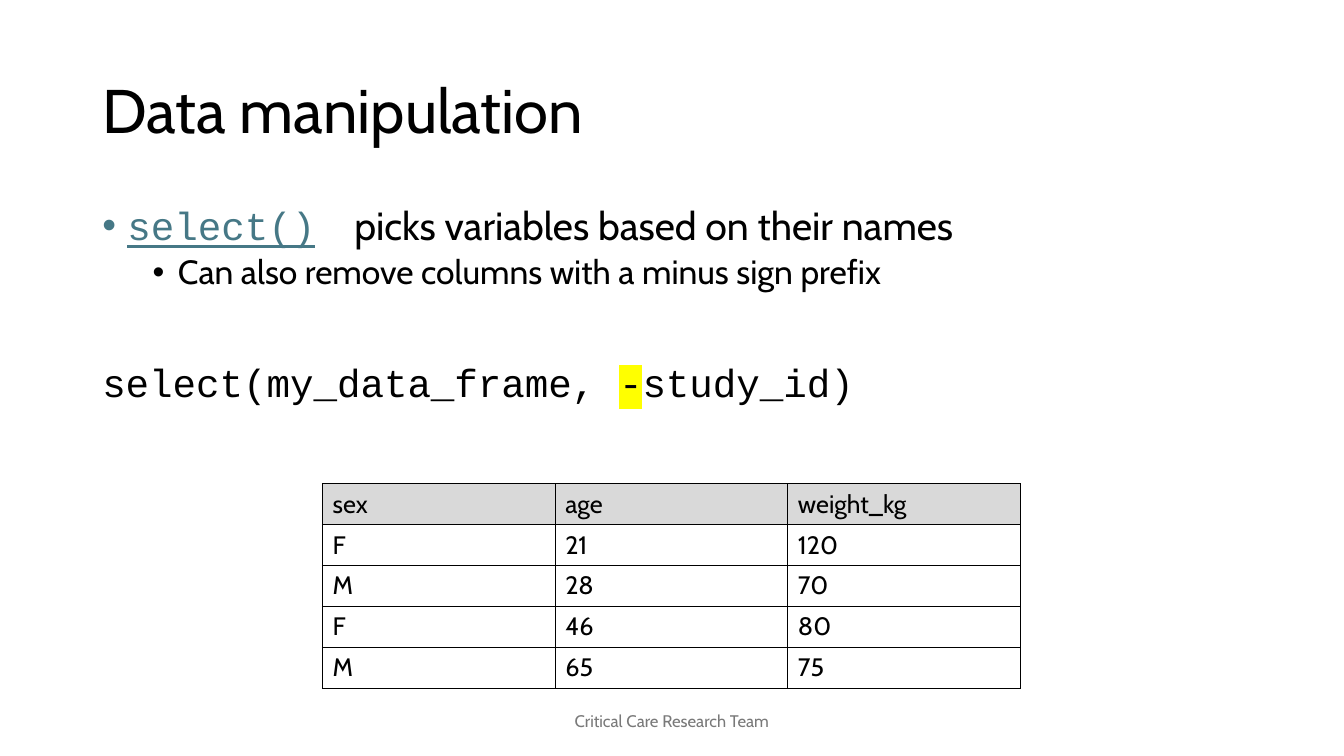
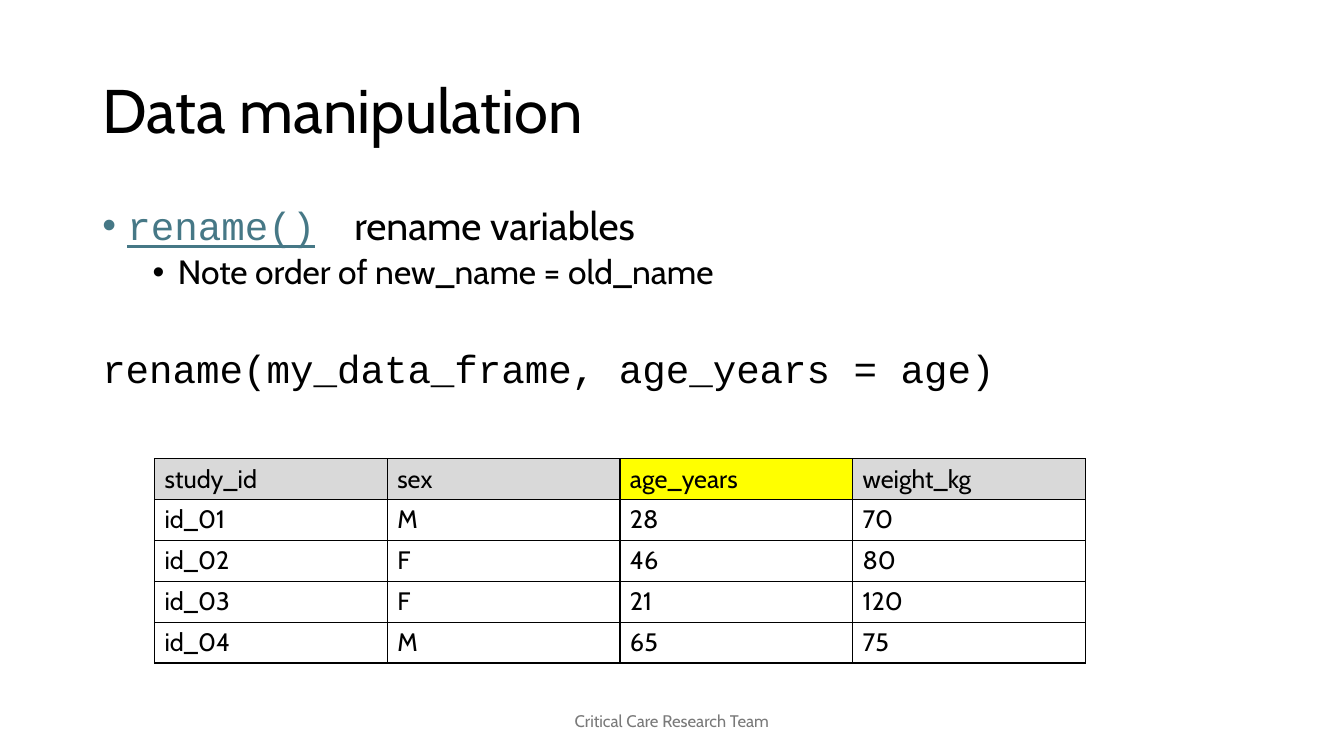
import pptx
import pptx.dml.color
import pptx.enum.text
import pptx.oxml.ns
import pptx.util
from lxml import etree

RGBColor = pptx.dml.color.RGBColor
BLACK = RGBColor(0x00, 0x00, 0x00)
TEAL = RGBColor(0x46, 0x78, 0x86)
GREY = RGBColor(0x79, 0x79, 0x79)
SILVER = RGBColor(0xD9, 0xD9, 0xD9)
YELLOW = RGBColor(0xFF, 0xFF, 0x00)

ANCHOR = pptx.enum.text.MSO_ANCHOR
ALIGN = pptx.enum.text.PP_ALIGN
TEXT_FONT, CODE_FONT = "Cabin", "Courier New"

# The page is a grid of 160 columns by 90 rows, 12 to the inch
COLUMNS, ROWS = 160, 90
MARGIN, CONTENT_WIDTH = 11, 138
CELL_WIDTH, CELL_HEIGHT = 27.7, 4.87


def grid(count):
    return pptx.util.Inches(count / 12)


def add_element(parent, tag, **attributes):
    return etree.SubElement(parent, pptx.oxml.ns.qn(tag), attributes)


def add_color(parent, tag, color):
    add_element(add_element(parent, tag), "a:srgbClr", val=str(color))


def add_span(para, text, size=28, font=TEXT_FONT, color=BLACK,
             underline=False, highlight=None):
    span = para.add_run()
    span.text = text
    span.font.size = pptx.util.Pt(size)
    span.font.color.rgb = color
    span.font.bold = False
    span.font.underline = underline
    if highlight is not None:
        add_color(span.font._element, "a:highlight", highlight)
    span.font.name = font
    return span


def add_bullet(para, indent, color):
    properties = para._p.get_or_add_pPr()
    properties.set("marL", str(pptx.util.Inches(indent)))
    properties.set("indent", str(pptx.util.Inches(-0.25)))
    add_color(properties, "a:buClr", color)
    add_element(properties, "a:buFont", typeface="Arial")
    add_element(properties, "a:buChar", char="•")


class Deck:
    """Holds the shared style and the current page."""

    def __init__(self):
        self.deck = pptx.Presentation()
        self.deck.slide_width = grid(COLUMNS)
        self.deck.slide_height = grid(ROWS)
        self.page = None

    def add_page(self, title):
        self.page = self.deck.slides.add_slide(self.deck.slide_layouts[6])
        heading = self.add_box(MARGIN, 4.8, CONTENT_WIDTH, 17.4, ANCHOR.MIDDLE)
        heading.paragraphs[0].line_spacing = 0.9
        add_span(heading.paragraphs[0], title, size=44)
        footer = self.add_box(53, 83.4, 54, 4.8, ANCHOR.MIDDLE)
        footer.paragraphs[0].alignment = ALIGN.CENTER
        add_span(footer.paragraphs[0], "Critical Care Research Team",
                 size=12, color=GREY)

    def add_box(self, left, top, width, height, anchor=ANCHOR.TOP):
        box = self.page.shapes.add_textbox(*map(grid, (left, top, width, height)))
        frame = box.text_frame
        frame.word_wrap = True
        frame.vertical_anchor = anchor
        return frame

    def add_body(self, function, purpose, note, code, code_gap):
        """Code is a list of (text, highlight) pairs."""
        frame = self.add_box(MARGIN, 24, CONTENT_WIDTH, 57.1)
        summary = frame.paragraphs[0]
        detail, example = frame.add_paragraph(), frame.add_paragraph()

        add_bullet(summary, 0.25, TEAL)
        add_span(summary, function, font=CODE_FONT, color=TEAL, underline=True)
        add_span(summary, "\t", font=CODE_FONT)
        add_span(summary, purpose)

        detail.level = 1
        add_bullet(detail, 0.75, BLACK)
        add_span(detail, note, size=24)
        detail.space_before = pptx.util.Pt(5)

        for text, highlight in code:
            add_span(example, text, font=CODE_FONT, highlight=highlight)
        example.space_before = pptx.util.Pt(code_gap)

        for para in frame.paragraphs:
            para.line_spacing = 0.9

    def add_table(self, left, top, rows, marked=None):
        """The marked heading gets the highlight colour."""
        count = len(rows[0])
        table = self.page.shapes.add_table(
            len(rows), count, grid(left), grid(top),
            grid(CELL_WIDTH * count), grid(CELL_HEIGHT * len(rows))).table
        table.first_row = table.horz_banding = False
        for column in table.columns:
            column.width = grid(CELL_WIDTH)
        for row_index, row in enumerate(rows):
            table.rows[row_index].height = grid(CELL_HEIGHT)
            for column_index, text in enumerate(row):
                fill = None
                if row_index == 0:
                    fill = YELLOW if text == marked else SILVER
                self.fill_cell(table.cell(row_index, column_index), text, fill)

    def fill_cell(self, cell, text, fill):
        properties = cell._tc.get_or_add_tcPr()
        for side in ("a:lnL", "a:lnR", "a:lnT", "a:lnB"):
            border = add_element(properties, side, w=str(pptx.util.Pt(1)))
            add_color(border, "a:solidFill", BLACK)
        if fill is None:
            cell.fill.background()
        else:
            cell.fill.solid()
            cell.fill.fore_color.rgb = fill
        add_span(cell.text_frame.paragraphs[0], text, size=18)


def main():
    deck = Deck()

    # Selecting columns
    deck.add_page("Data manipulation")
    deck.add_body(
        "select()", "picks variables based on their names",
        "Can also remove columns with a minus sign prefix",
        [("select(my_data_frame, ", None), ("-", YELLOW), ("study_id)", None)],
        code_gap=51)
    deck.add_table(38.4, 57.6, [
        ("sex", "age", "weight_kg"),
        ("F", "21", "120"),
        ("M", "28", "70"),
        ("F", "46", "80"),
        ("M", "65", "75"),
    ])

    # Renaming columns
    deck.add_page("Data manipulation")
    deck.add_body(
        "rename()", "rename variables",
        "Note order of new_name = old_name",
        [("rename(my_data_frame, age_years = age)", None)],
        code_gap=41)
    deck.add_table(18.4, 54.6, [
        ("study_id", "sex", "age_years", "weight_kg"),
        ("id_01", "M", "28", "70"),
        ("id_02", "F", "46", "80"),
        ("id_03", "F", "21", "120"),
        ("id_04", "M", "65", "75"),
    ], marked="age_years")

    deck.deck.save("out.pptx")


if __name__ == "__main__":
    main()
